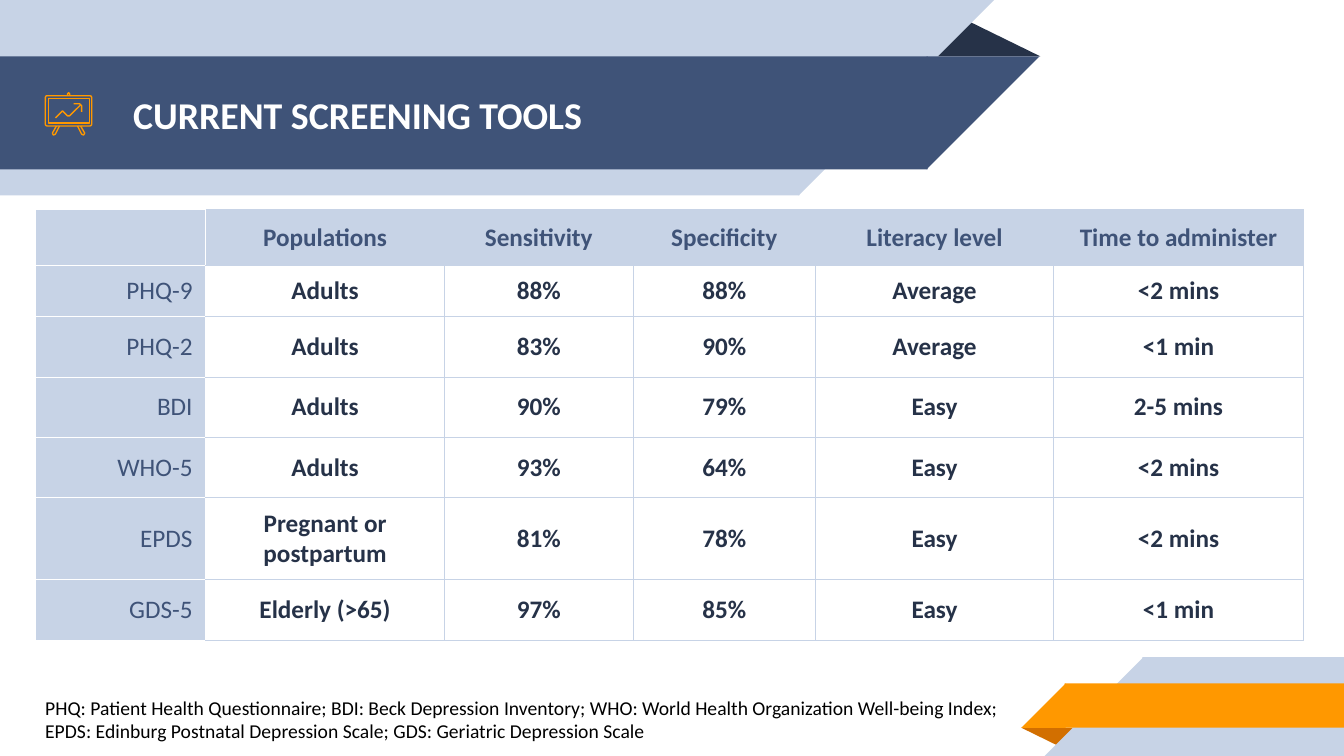
"""Build the slide that compares current depression screening tools."""
from lxml import etree
from pptx import Presentation
from pptx.dml.color import RGBColor
from pptx.enum.shapes import MSO_SHAPE
from pptx.enum.text import MSO_ANCHOR, MSO_AUTO_SIZE, PP_ALIGN
from pptx.oxml.ns import qn
from pptx.util import Inches, Pt

RECT, CORNER = MSO_SHAPE.RECTANGLE, MSO_SHAPE.RIGHT_TRIANGLE
FOLD, ROUNDED = MSO_SHAPE.ISOSCELES_TRIANGLE, MSO_SHAPE.ROUNDED_RECTANGLE
LEFT, CENTER, RIGHT = PP_ALIGN.LEFT, PP_ALIGN.CENTER, PP_ALIGN.RIGHT
TOP, MIDDLE = MSO_ANCHOR.TOP, MSO_ANCHOR.MIDDLE

THEME = {
    "font": "Calibri",
    "pale": "C7D3E6", "blue": "3F5378", "navy": "263248",
    "orange": "FF9800", "rust": "D26F00", "white": "FFFFFF", "black": "000000",
    "title": 27, "cell": 18, "note": 14,
}


def rgb(name):
    return RGBColor.from_string(THEME[name])


def write(tf, text, size, color, bold=False, align=LEFT, anchor=TOP):
    tf.word_wrap = True
    tf.vertical_anchor = anchor
    p = tf.paragraphs[0]
    p.alignment = align
    r = p.add_run()
    r.text = text
    r.font.name = THEME["font"]
    r.font.size = Pt(THEME[size])
    r.font.bold = bold
    r.font.color.rgb = rgb(color)


prs = Presentation()
prs.slide_width, prs.slide_height = Inches(13.33), Inches(7.5)
s = prs.slides.add_slide(prs.slide_layouts[5])

ribbons = [
    (FOLD, 9.18, 0.18, 1.14, 0.38, 0, "navy"),
    (RECT, 0, 0, 7.93, 1.94, 0, "pale"),
    (CORNER, 7.92, 0, 1.94, 1.94, 90, "pale"),
    (RECT, 0, 0.56, 9.2, 1.12, 0, "blue"),
    (CORNER, 9.19, 0.56, 1.12, 1.12, 90, "blue"),
    (FOLD, 10.13, 7.22, 0.57, 0.19, 180, "rust"),
    (RECT, 11.33, 6.52, 2, 0.98, 0, "pale"),
    (CORNER, 10.36, 6.52, 0.98, 0.98, 270, "pale"),
    (RECT, 10.56, 6.78, 2.77, 0.44, 0, "orange"),
    (CORNER, 10.13, 6.78, 0.44, 0.44, 270, "orange"),
]
for kind, x, y, w, h, angle, color in ribbons:
    sp = s.shapes.add_shape(kind, Inches(x), Inches(y), Inches(w), Inches(h))
    sp.rotation = angle
    if kind == FOLD:
        sp.adjustments[0] = 0.32
    sp.shadow.inherit = False
    sp.fill.solid()
    sp.fill.fore_color.rgb = rgb(color)
    sp.line.fill.background()

title = s.shapes.title
title.left, title.top = Inches(1.19), Inches(0.57)
title.width, title.height = Inches(7.67), Inches(1.12)
tf = title.text_frame
tf.auto_size = MSO_AUTO_SIZE.NONE
tf.margin_left = tf.margin_right = tf.margin_top = tf.margin_bottom = Inches(0.13)
write(tf, "CURRENT SCREENING TOOLS", "title", "white", bold=True, anchor=MIDDLE)
s.shapes._spTree.append(title._element)

col_widths = [1.69, 2.37, 1.87, 1.81, 2.36, 2.48]
row_heights = [0.55, 0.51, 0.6, 0.6, 0.6, 0.81, 0.6]
rows = [
    ["", "Populations", "Sensitivity", "Specificity", "Literacy level", "Time to administer"],
    ["PHQ-9", "Adults", "88%", "88%", "Average", "<2 mins"],
    ["PHQ-2", "Adults", "83%", "90%", "Average", "<1 min"],
    ["BDI", "Adults", "90%", "79%", "Easy", "2-5 mins"],
    ["WHO-5", "Adults", "93%", "64%", "Easy", "<2 mins"],
    ["EPDS", "Pregnant or postpartum", "81%", "78%", "Easy", "<2 mins"],
    ["GDS-5", "Elderly (>65)", "97%", "85%", "Easy", "<1 min"],
]
table = s.shapes.add_table(
    len(rows), len(col_widths), Inches(0.35), Inches(2.08),
    Inches(sum(col_widths)), Inches(sum(row_heights))).table
table.first_row = table.horz_banding = False
for column, w in zip(table.columns, col_widths):
    column.width = Inches(w)
for i, (row, h) in enumerate(zip(rows, row_heights)):
    table.rows[i].height = Inches(h)
    for j, text in enumerate(row):
        cell = table.cell(i, j)
        tcPr = cell._tc.get_or_add_tcPr()
        for side in "LRTB":
            white_side = j == 0 or (j == 1 and side == "L")
            ln = etree.SubElement(tcPr, qn("a:ln" + side), w=str(Pt(0.75)))
            fill = etree.SubElement(ln, qn("a:solidFill"))
            etree.SubElement(fill, qn("a:srgbClr"), val=THEME["white" if white_side else "pale"])
        if i == 0 or j == 0:
            cell.fill.solid()
            cell.fill.fore_color.rgb = rgb("pale")
        else:
            cell.fill.background()
        cell.margin_left = cell.margin_right = Inches(0.13)
        cell.margin_top = cell.margin_bottom = Inches(0.1)
        cell.vertical_anchor = MIDDLE
        if text:
            write(cell.text_frame, text, "cell", "blue" if i == 0 or j == 0 else "navy",
                  bold=j > 0, align=CENTER if j else RIGHT, anchor=None)

icon = s.shapes.add_group_shape()
board = icon.shapes.add_shape(ROUNDED, Inches(0.45), Inches(0.95), Inches(0.46), Inches(0.3))
board.adjustments[0] = 0.06
icon.shapes.add_shape(RECT, Inches(0.48), Inches(0.98), Inches(0.41), Inches(0.24))
hundredths = [
    [(67, 95), (67, 93), (68, 92), (69, 93), (69, 95)],
    [(56, 125), (52, 132), (53, 134), (55, 133), (59, 125)],
    [(77, 125), (81, 133), (83, 134), (84, 132), (80, 125)],
    [(80, 104), (69, 115), (67, 115), (62, 110), (55, 117)],
    [(73, 103), (79, 103), (81, 105), (81, 111)],
]
for points in hundredths:
    outline = icon.shapes.build_freeform(*points[0], scale=Inches(0.01))
    outline.add_line_segments(points[1:], close=False)
    outline.convert_to_shape()
for sp in icon.shapes:
    sp.shadow.inherit = False
    sp.fill.background()
    sp.line.color.rgb = rgb("orange")
    sp.line.width = Pt(0.96)

note = s.shapes.add_textbox(Inches(0.35), Inches(6.8), Inches(9.76), Inches(0.7))
tf = note.text_frame
tf.margin_left = tf.margin_right = tf.margin_top = tf.margin_bottom = Inches(0.1)
write(tf, "PHQ: Patient Health Questionnaire; BDI: Beck Depression Inventory; "
      "WHO: World Health Organization Well-being Index; "
      "EPDS: Edinburg Postnatal Depression Scale; GDS: Geriatric Depression Scale",
      "note", "black")

prs.save("out.pptx")
